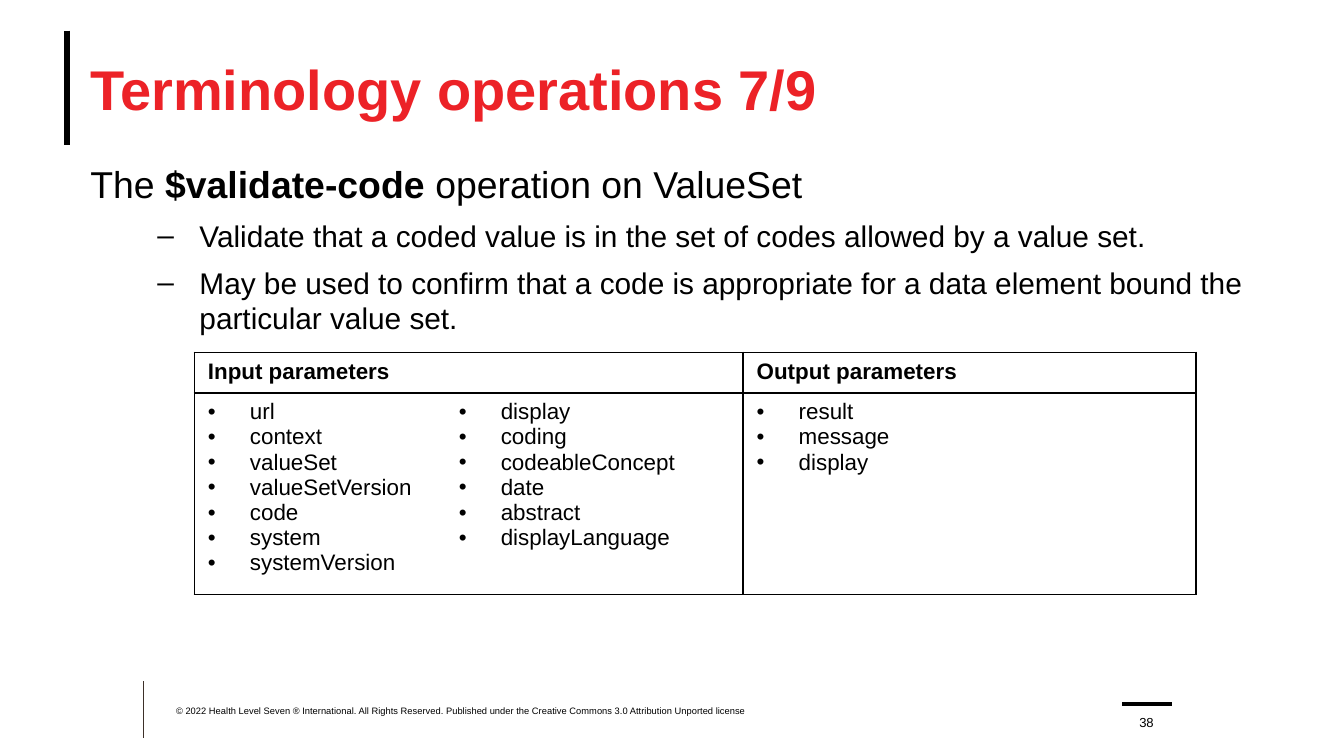
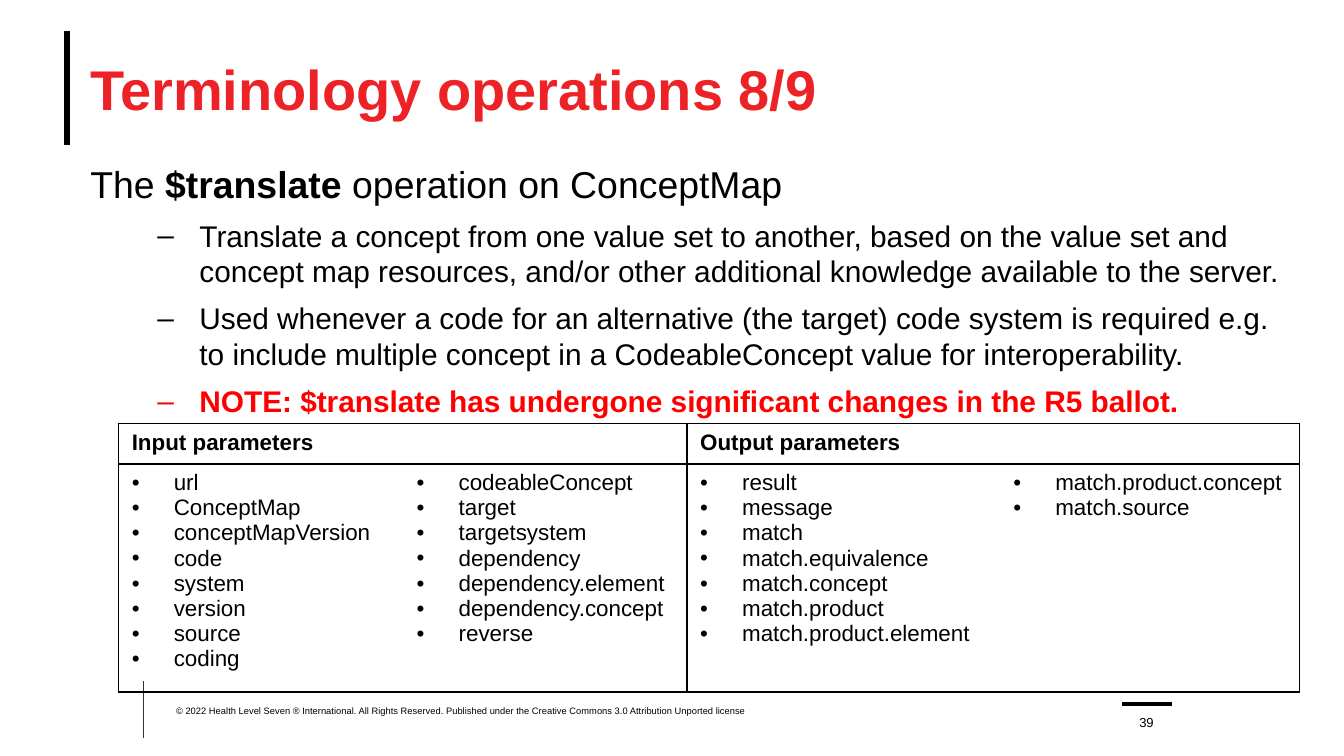
from dataclasses import dataclass
from lxml import etree
from pptx import Presentation
from pptx.dml import color
from pptx.enum import shapes, text
from pptx.oxml import ns
from pptx.util import Pt


@dataclass(frozen=True)
class Theme:
    font: str = "Arial"
    black: str = "000000"
    title: str = "EC2227"
    note: str = "FF0000"
    thin: str = "3D3029"
    head: float = 30
    lead: float = 20
    item: float = 16
    cell: float = 12
    page: float = 7
    legal: float = 5
    gap: float = 6
    hang: float = 22.5


T = Theme()
SIZE = (720, 405)
TITLE = (48.4, 16.2, 648, 62)
BODY = (48.4, 86.4, 648, 280)
LEGAL = (94.3, 377.8, 356.4, 12.2)
PAGE = (603.4, 378.7, 21.6, 12.2)
RULES = [
    ((36, 16.4), (36, 77.8), T.black, 3.25),
    ((77, 365), (77, 395.3), T.thin, 0.5),
    ((601.2, 377.3), (627.8, 377.3), T.black, 2),
]
CREDIT = (
    "© 2022 Health Level Seven ® International. All Rights Reserved. "
    "Published under the Creative Commons 3.0 Attribution Unported license"
)
SLIDES = [
    {
        "title": "Terminology operations 7/9",
        "page": "38",
        "lead": ("$validate-code", "ValueSet"),
        "items": [
            "Validate that a coded value is in the set of codes allowed by a value set.",
            "May be used to confirm that a code is appropriate for a data element "
            "bound the particular value set.",
        ],
        "note": None,
        "at": (104.2, 188.8),
        "cols": (134.4, 159.6, 242.6),
        "rows": (20, 103),
        "groups": [
            ("Input parameters", [
                ["url", "context", "valueSet", "valueSetVersion", "code",
                 "system", "systemVersion"],
                ["display", "coding", "codeableConcept", "date", "abstract",
                 "displayLanguage"],
            ]),
            ("Output parameters", [["result", "message", "display"]]),
        ],
    },
    {
        "title": "Terminology operations 8/9",
        "page": "39",
        "lead": ("$translate", "ConceptMap"),
        "items": [
            "Translate a concept from one value set to another, based on the value "
            "set and concept map resources, and/or other additional knowledge "
            "available to the server.",
            "Used whenever a code for an alternative (the target) code system is "
            "required e.g. to include multiple concept in a CodeableConcept value "
            "for interoperability.",
        ],
        "note": "NOTE: $translate has undergone significant changes in the R5 ballot.",
        "at": (63.4, 226.8),
        "cols": (152.6, 151.9, 167.8, 160.6),
        "rows": (20, 114),
        "groups": [
            ("Input parameters", [
                ["url", "ConceptMap", "conceptMapVersion", "code", "system",
                 "version", "source", "coding"],
                ["codeableConcept", "target", "targetsystem", "dependency",
                 "dependency.element", "dependency.concept", "reverse"],
            ]),
            ("Output parameters", [
                ["result", "message", "match", "match.equivalence",
                 "match.concept", "match.product", "match.product.element"],
                ["match.product.concept", "match.source"],
            ]),
        ],
    },
]


def add_run(para, words, size, tint=T.black, bold=False):
    run = para.add_run()
    run.text = words
    font = run.font
    font.name, font.size, font.bold = T.font, Pt(size), bold
    font.color.rgb = color.RGBColor.from_string(tint)


def bullet(para, mark, left):
    props = para._p.get_or_add_pPr()
    props.set("marL", str(Pt(left)))
    props.set("indent", str(-Pt(T.hang)))
    etree.SubElement(props, ns.qn("a:buFont")).set("typeface", T.font)
    etree.SubElement(props, ns.qn("a:buChar")).set("char", mark)


def add_box(slide, area, anchor=text.MSO_ANCHOR.TOP):
    frame = slide.shapes.add_textbox(*map(Pt, area)).text_frame
    frame.word_wrap = True
    frame.vertical_anchor = anchor
    frame.margin_left = frame.margin_right = 0
    frame.margin_top = frame.margin_bottom = 0
    return frame


def add_rule(slide, start, end, tint, width):
    rule = slide.shapes.add_connector(
        shapes.MSO_CONNECTOR.STRAIGHT, *map(Pt, start + end))
    rule.line.color.rgb = color.RGBColor.from_string(tint)
    rule.line.width = Pt(width)
    etree.SubElement(rule._element.spPr, ns.qn("a:effectLst"))


def add_frame(slide, data):
    for rule in RULES:
        add_rule(slide, *rule)
    para = add_box(slide, TITLE, text.MSO_ANCHOR.MIDDLE).paragraphs[0]
    add_run(para, data["title"], T.head, T.title, True)
    add_run(add_box(slide, LEGAL).paragraphs[0], CREDIT, T.legal)
    para = add_box(slide, PAGE, text.MSO_ANCHOR.BOTTOM).paragraphs[0]
    para.alignment = text.PP_ALIGN.CENTER
    add_run(para, data["page"], T.page)


def add_body(slide, data):
    frame = add_box(slide, BODY)
    para = frame.paragraphs[0]
    code, kind = data["lead"]
    add_run(para, "The ", T.lead)
    add_run(para, code, T.lead, bold=True)
    add_run(para, f" operation on {kind}", T.lead)
    items = [(item, T.black, False) for item in data["items"]]
    if data["note"]:
        items.append((data["note"], T.note, True))
    for words, tint, bold in items:
        para = frame.add_paragraph()
        para.level = 1
        para.space_before = Pt(T.gap)
        bullet(para, "–", 58.5)
        add_run(para, words, T.item, tint, bold)


def edge(cell, sides):
    cell.fill.background()
    props = cell._tc.get_or_add_tcPr()
    for spot, side in enumerate("LRTB"):
        line = etree.Element(ns.qn(f"a:ln{side}"), w=str(Pt(1)))
        if side in sides:
            fill = etree.SubElement(line, ns.qn("a:solidFill"))
            etree.SubElement(fill, ns.qn("a:srgbClr")).set("val", T.black)
        else:
            etree.SubElement(line, ns.qn("a:noFill"))
        props.insert(spot, line)


def add_head(grid, first, last, name):
    head = grid.cell(0, first)
    if last > first:
        head.merge(grid.cell(0, last))
    add_run(head.text_frame.paragraphs[0], name, T.cell, bold=True)
    for col in range(first, last + 1):
        cell = grid.cell(0, col)
        edge(cell, "LRTB")
        if cell.is_spanned:
            para = cell.text_frame.paragraphs[0]._p
            end = etree.SubElement(para, ns.qn("a:endParaRPr"))
            end.set("sz", str(T.cell * 100))


def add_grid(slide, data):
    cols, rows = data["cols"], data["rows"]
    area = (*data["at"], sum(cols), sum(rows))
    grid = slide.shapes.add_table(len(rows), len(cols), *map(Pt, area)).table
    grid.first_row = grid.horz_banding = False
    for col, width in zip(grid.columns, cols):
        col.width = Pt(width)
    for row, height in zip(grid.rows, rows):
        row.height = Pt(height)
    first = 0
    for name, lists in data["groups"]:
        last = first + len(lists) - 1
        add_head(grid, first, last, name)
        for col, names in enumerate(lists, first):
            cell = grid.cell(1, col)
            edge(cell, "TB" + "L" * (col == first) + "R" * (col == last))
            frame = cell.text_frame
            for spot, word in enumerate(names):
                para = frame.add_paragraph() if spot else frame.paragraphs[0]
                bullet(para, "•", T.hang)
                add_run(para, word, T.cell)
        first = last + 1


def main():
    deck = Presentation()
    deck.slide_width, deck.slide_height = map(Pt, SIZE)
    for data in SLIDES:
        slide = deck.slides.add_slide(deck.slide_layouts[6])
        add_frame(slide, data)
        add_body(slide, data)
        add_grid(slide, data)
    deck.save("out.pptx")


if __name__ == "__main__":
    main()
